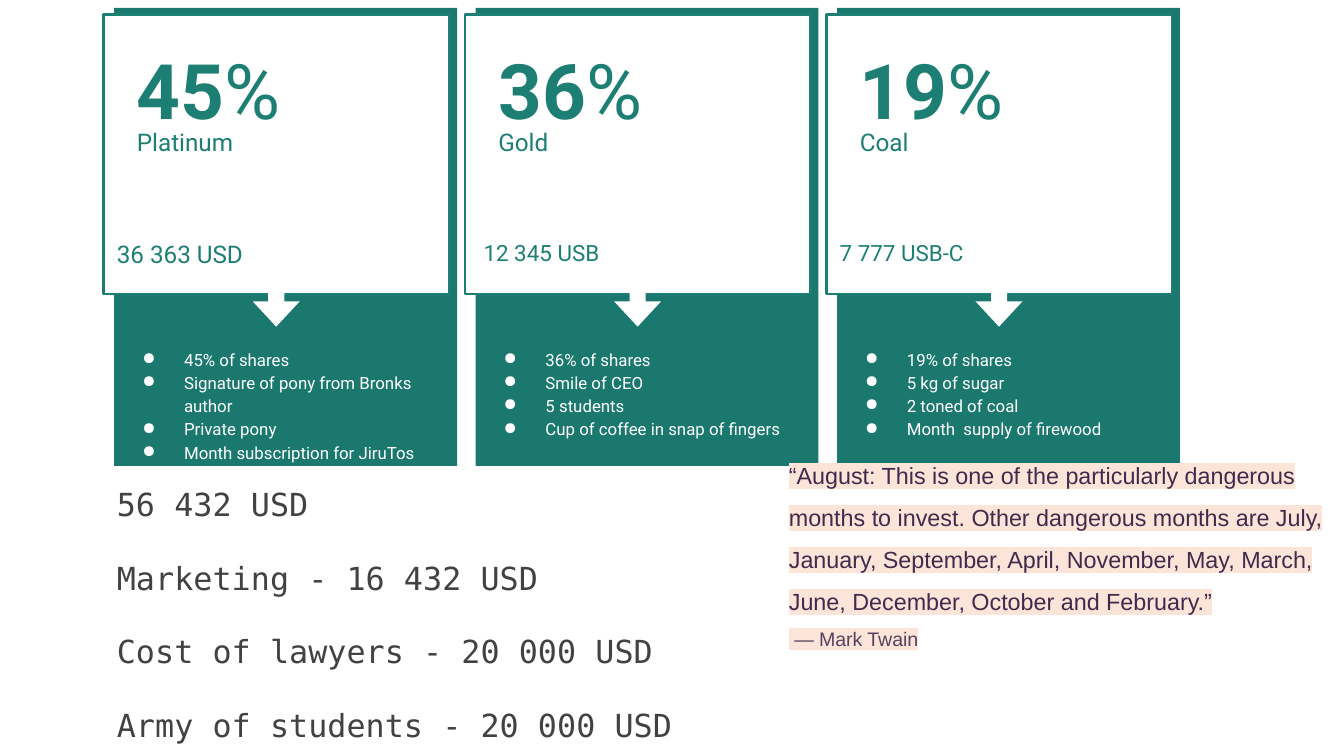
from lxml.etree import SubElement
from pptx import Presentation
from pptx.dml.color import RGBColor
from pptx.enum.shapes import MSO_SHAPE
from pptx.oxml.ns import qn
from pptx.util import Cm, Pt

COLORS = {
    "panel": "1B786E",
    "teal": "1D7E74",
    "white": "FFFFFF",
    "gray": "424242",
    "quote": "412A4C",
    "author": "564260",
    "mark": "FCE5D8",
}

TIERS = [
    ("45", "Platinum", ["45% of shares", "Signature of pony from Bronks author",
                        "Private pony", "Month subscription for JiruTos"]),
    ("36", "Gold", ["36% of shares", "Smile of CEO", "5 students",
                    "Cup of coffee in snap of fingers"]),
    ("19", "Coal", ["19% of shares", "5 kg of sugar", "2 toned of coal",
                    "Month  supply of firewood"]),
]
PRICES = [(1.96, "36 363 USD", 13), (8.89, "12 345 USB", 12), (15.62, "7 777 USB-C", 12)]
COSTS = ["56 432 USD", "Marketing - 16 432 USD", "Cost of lawyers - 20 000 USD",
         "Army of students - 20 000 USD"]
QUOTE = ("“August: This is one of the particularly dangerous months to invest. "
         "Other dangerous months are July, January, September, April, November, "
         "May, March, June, December, October and February.”")
LEFT, STEP = 1.96, 6.83


def rgb(name):
    return RGBColor.from_string(COLORS[name])


class Pen:
    def __init__(self, slide, face="Roboto"):
        self.slide = slide
        self.face = face
        self.root = slide.shapes

    def group(self):
        self.root = self.slide.shapes.add_group_shape().shapes

    def ungroup(self):
        self.root = self.slide.shapes

    def shape(self, kind, x, y, w, h, fill, line=None):
        item = self.root.add_shape(kind, Cm(x), Cm(y), Cm(w), Cm(h))
        item.shadow.inherit = False
        item.fill.solid()
        item.fill.fore_color.rgb = rgb(fill)
        if line:
            item.line.color.rgb = rgb(line)
            item.line.width = Pt(1.5)
        else:
            item.line.fill.background()
        return item

    def arrow(self, x, y, w, h):
        item = self.shape(MSO_SHAPE.RIGHT_ARROW, x, y, w, h, "white")
        item.adjustments[0] = 0.34
        item.adjustments[1] = 0.57
        item.rotation = 90

    def font(self, font, size, color, face=None):
        font.size = Pt(size)
        font.color.rgb = rgb(color)
        font.name = face or self.face

    def bullet(self, para):
        props = para._p.get_or_add_pPr()
        props.set("marL", str(Cm(1.27)))
        props.set("indent", str(-Cm(0.79)))
        tint = SubElement(props, qn("a:buClr"))
        SubElement(tint, qn("a:srgbClr"), val=COLORS["white"])
        SubElement(props, qn("a:buChar"), char="●")

    def text(self, x, y, w, h, lines, size, color, face=None, gap=0, space=None, dots=False):
        frame = self.root.add_textbox(Cm(x), Cm(y), Cm(w), Cm(h)).text_frame
        frame.word_wrap = True
        frame.margin_left = frame.margin_right = Cm(0.25)
        frame.margin_top = frame.margin_bottom = Cm(0.25)
        for i, line in enumerate(lines):
            para = frame.paragraphs[0] if i == 0 else frame.add_paragraph()
            if dots:
                self.bullet(para)
            if space:
                para.line_spacing = space
            if i and gap:
                para.space_before = Pt(gap)
            self.font(para.font, size, color, face)
            if line:
                para.add_run().text = line
        return frame.paragraphs[0]

    def share(self, x, y, w, h, value):
        para = self.text(x, y, w, h, [""], 41, "teal")
        for part, bold in ((value, True), ("%", False)):
            run = para.add_run()
            run.text = part
            run.font.bold = bold

    def marked(self, para, words, size, color, face):
        run = para.add_run()
        run.text = words
        self.font(run.font, size, color, face)
        props = run._r.get_or_add_rPr()
        mark = SubElement(props, qn("a:highlight"))
        SubElement(mark, qn("a:srgbClr"), val=COLORS["mark"])
        props.find(qn("a:solidFill")).addnext(mark)

    def quote(self, x, y, w, h, words, author):
        para = self.text(x, y, w, h, [""], 12.5, "quote", "Arial", space=1.5)
        self.marked(para, words, 12.5, "quote", "Arial")
        para.add_line_break()
        self.marked(para, author, 10.5, "author", "Arial")

    def card(self, x, value, name, perks):
        self.group()
        self.shape(MSO_SHAPE.RECTANGLE, x + 0.2, 0.15, 6.48, 8.66, "panel")
        self.shape(MSO_SHAPE.RECTANGLE, x, 0.28, 6.53, 5.28, "white", "teal")
        self.text(x + 0.38, 2.16, 5.79, 1.3, [name], 13, "teal")
        self.share(x + 0.38, 0.56, 5.79, 1.42, value)
        self.arrow(x + 2.84, 5.31, 0.84, 0.89)
        self.text(x, 6.3, 6.48, 2.31, perks, 9, "white", space=1.15, dots=True)
        self.ungroup()


def main():
    deck = Presentation()
    deck.slide_width, deck.slide_height = Cm(25.4), Cm(14.29)
    pen = Pen(deck.slides.add_slide(deck.slide_layouts[6]))
    for i, (value, name, perks) in enumerate(TIERS):
        pen.card(LEFT + i * STEP, value, name, perks)
    for x, price, size in PRICES:
        pen.text(x, 4.27, 5.79, 1.3, [price], size, "teal")
    pen.text(LEFT, 8.81, 20.12, 5.38, COSTS, 17, "gray", "DejaVu Sans Mono", 16, 1.15)
    pen.quote(14.66, 8.2, 11.51, 6.07, QUOTE, " — Mark Twain")
    deck.save("out.pptx")


if __name__ == "__main__":
    main()
